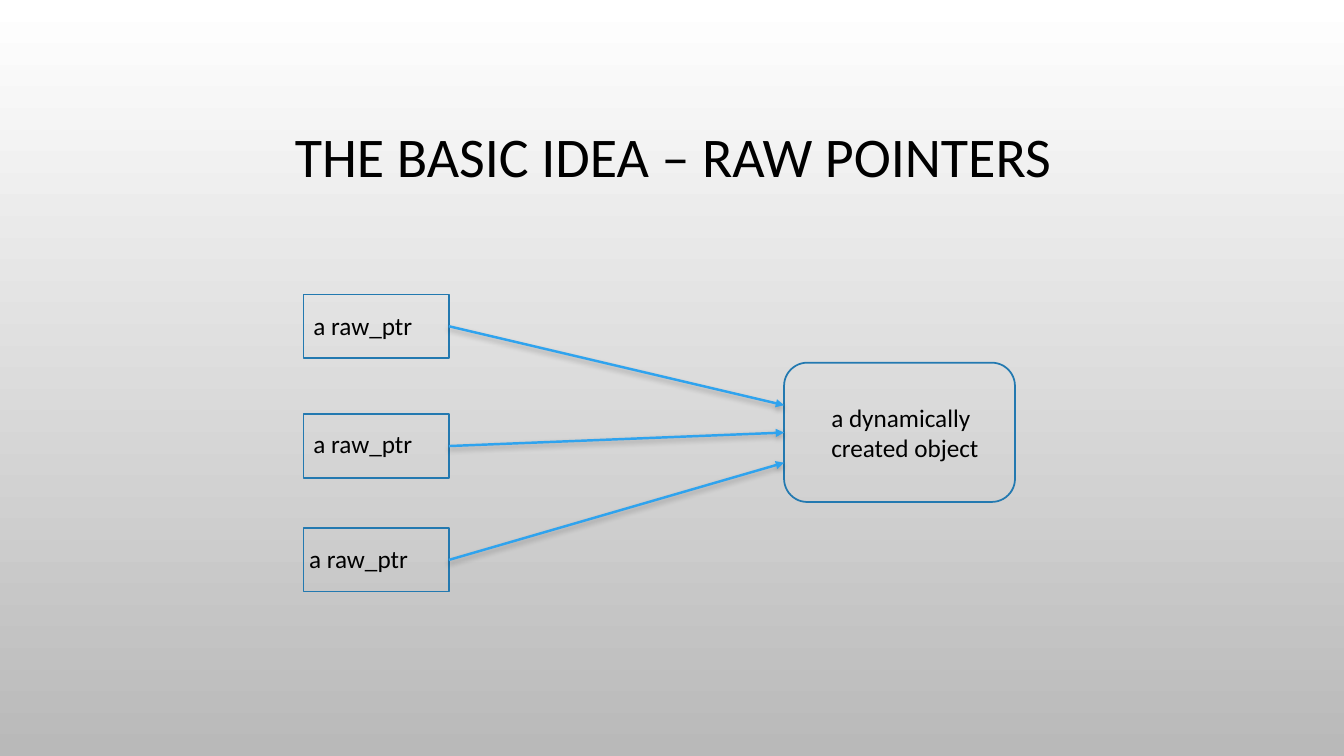
"""Build a slide showing three raw pointers to one dynamically created object."""
from lxml.etree import SubElement
from pptx import Presentation
from pptx.dml.color import RGBColor
from pptx.enum.shapes import MSO_CONNECTOR as Connector, MSO_SHAPE as Preset
from pptx.enum.text import MSO_ANCHOR as Anchor, MSO_AUTO_SIZE as AutoSize, PP_ALIGN as Align
from pptx.oxml import parse_xml
from pptx.oxml.ns import nsdecls, qn
from pptx.util import Cm, Pt

SHADOW = (
    f'<a:effectLst {nsdecls("a")}><a:outerShdw blurRad="{Pt(4)}" dist="{Pt(2)}" '
    'dir="5400000" rotWithShape="0"><a:srgbClr val="000000"><a:alpha val="28000"/>'
    '</a:srgbClr></a:outerShdw></a:effectLst>'
)


def color(value):
    return RGBColor.from_string(value)


def write(shape, lines, size, **paragraph_format):
    shape.text_frame.text = "\n".join(lines)
    for paragraph in shape.text_frame.paragraphs:
        for name, value in paragraph_format.items():
            setattr(paragraph, name, value)
        for run in paragraph.runs:
            for name, value in {"name": "Calibri", "size": Pt(size)}.items():
                setattr(run.font, name, value)
            run.font.color.rgb = color("000000")


presentation = Presentation()
presentation.slide_width, presentation.slide_height = Cm(33.87), Cm(19.05)
slide = presentation.slides.add_slide(presentation.slide_layouts[5])

background = slide.background.fill
background.gradient()
background.gradient_angle = 270
for stop, value in zip(background.gradient_stops, ("FFFFFF", "B9B9B9")):
    stop.color.rgb = color(value)

title = slide.shapes.title
title_place = {"left": 2.57, "top": 1.78, "width": 28.78, "height": 4.45}
for name, value in title_place.items():
    setattr(title, name, Cm(value))
title.text_frame.vertical_anchor = Anchor.MIDDLE
title.text_frame.auto_size = AutoSize.NONE
write(title, ["THE BASIC IDEA – RAW POINTERS"], 40, alignment=Align.CENTER, line_spacing=0.9)

pointer_left, pointer_width, pointer_height = 7.65, 3.66, 1.6
pointer_tops = (7.42, 10.44, 13.31)
object_left = 19.76

boxes = [(Preset.ROUNDED_RECTANGLE, object_left, 9.14, 5.82, 3.51)]
boxes += [
    (Preset.RECTANGLE, pointer_left, top, pointer_width, pointer_height)
    for top in pointer_tops
]
for preset, *place in boxes:
    box = slide.shapes.add_shape(preset, *map(Cm, place))
    box.shadow.inherit = False
    box.fill.background()
    box.line.color.rgb = color("2379B0")
    box.line.width = Pt(1.25)

for top, target in zip(pointer_tops, (10.21, 10.9, 11.66)):
    ends = (pointer_left + pointer_width, top + pointer_height / 2, object_left, target)
    arrow = slide.shapes.add_connector(Connector.STRAIGHT, *map(Cm, ends))
    arrow.line.color.rgb = color("2FA3EE")
    arrow.line.width = Pt(1.75)
    SubElement(arrow.line._get_or_add_ln(), qn("a:tailEnd"), type="triangle")
    arrow._element.spPr.append(parse_xml(SHADOW))

labels = [
    (["a dynamically", "created object"], 20.7, 10.01, 4.27, 1.8),
    (["a raw_ptr"], 7.65, 7.7, 3.1, 1.02),
    (["a raw_ptr"], 7.65, 10.67, 3.1, 1.02),
    (["a raw_ptr"], 7.54, 13.56, 3.1, 1.02),
]
for lines, *place in labels:
    label = slide.shapes.add_textbox(*map(Cm, place))
    label.text_frame.word_wrap = False
    label.text_frame.auto_size = AutoSize.SHAPE_TO_FIT_TEXT
    write(label, lines, 18, alignment=Align.LEFT)

presentation.save("out.pptx")
